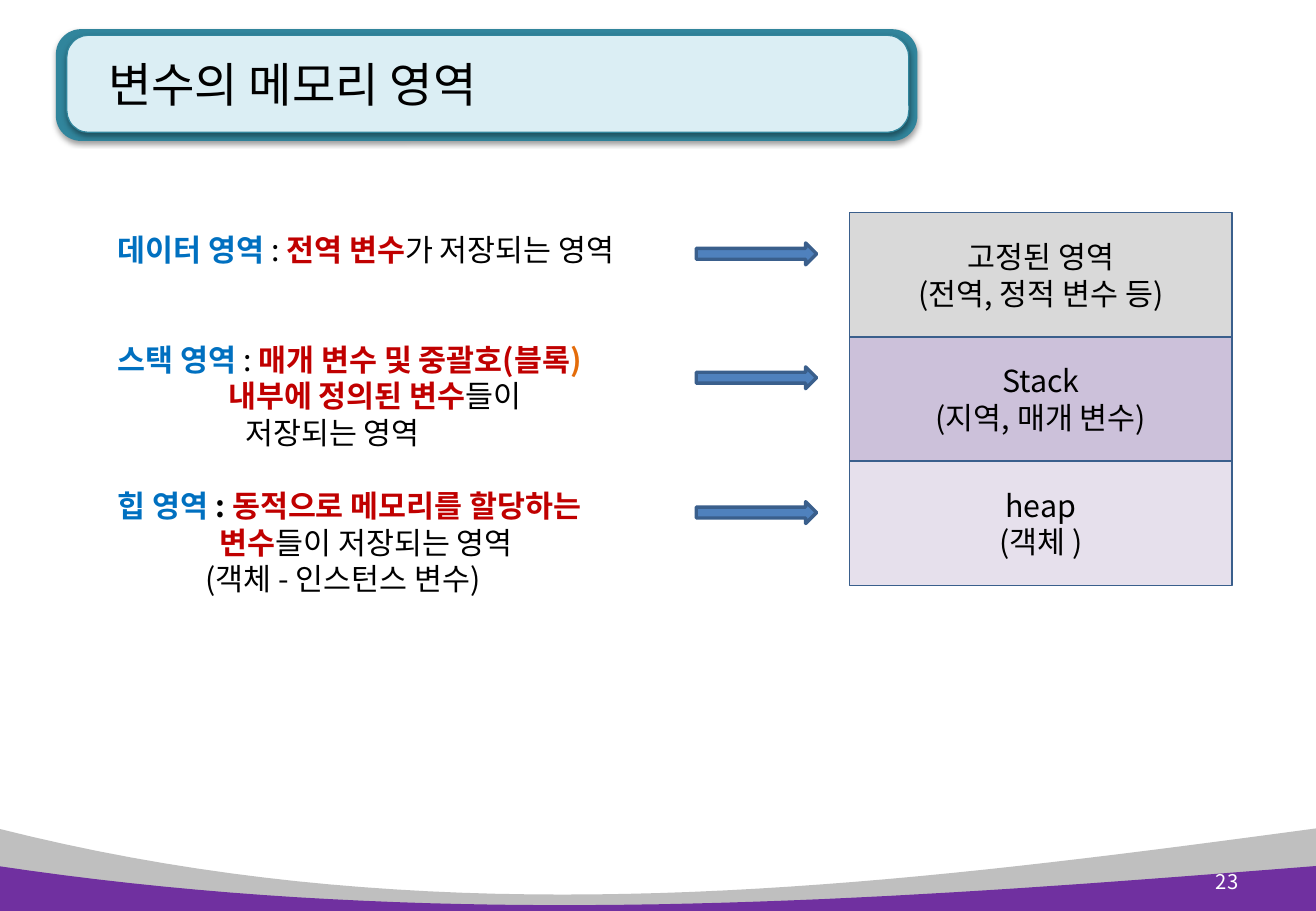
from lxml import etree
from pptx import Presentation
from pptx.dml.color import RGBColor
from pptx.enum.shapes import MSO_SHAPE
from pptx.enum.text import MSO_ANCHOR, PP_ALIGN
from pptx.oxml.ns import qn
from pptx.util import Inches, Pt

RECTANGLE = MSO_SHAPE.RECTANGLE
ROUNDED = MSO_SHAPE.ROUNDED_RECTANGLE
ARROW = MSO_SHAPE.RIGHT_ARROW
TOP, MIDDLE = MSO_ANCHOR.TOP, MSO_ANCHOR.MIDDLE
LEFT, CENTER, RIGHT = PP_ALIGN.LEFT, PP_ALIGN.CENTER, PP_ALIGN.RIGHT

FONT = "Noto Sans CJK KR"
LINE_PITCH = 21.7
COLORS = {
    "black": "000000", "white": "FFFFFF", "blue": "0070C0", "red": "C00000",
    "orange": "E46C0A", "gray": "BFBFBF", "purple": "7030A0",
    "teal": "31859C", "pale_teal": "DBEEF4", "arrow": "4F81BD",
    "outline": "3A5F8C", "fixed": "D9D9D9", "stack": "CCC1DA",
    "heap": "E6E0EC",
}

# Each line: indent in inches, blank lines before it, spans (text, color, bold)
AREA_LINES = [
    (0, 0, [("데이터 영역 ", "blue", True), (": ", "black", False),
            ("전역 변수", "red", True), ("가 저장되는 영역", "black", False)]),
    (0, 2, [("스택 영역 ", "blue", True), (": ", "black", False),
            ("매개 변수 및 중괄호(블록", "red", True), (")", "orange", True)]),
    (0.91, 0, [("내부에 정의된 변수", "red", True), ("들이", "black", False)]),
    (1.05, 0, [("저장되는 영역", "black", False)]),
    (0, 1, [("힙 영역 ", "blue", True), (": ", "black", True),
            ("동적으로 메모리를 할당하는", "red", True)]),
    (0.84, 0, [("변수", "red", True), ("들이 저장되는 영역", "black", False)]),
    (0.72, 0, [("(객체 - 인스턴스 변수)", "black", False)]),
]
MEMORY_BLOCKS = [
    ("fixed", ["고정된 영역", "(전역, 정적 변수 등)"]),
    ("stack", ["Stack", "(지역, 매개 변수)"]),
    ("heap", ["heap", "(객체 )"]),
]
ARROW_TOPS = [2, 3.02, 4.13]


def color(name):
    return RGBColor.from_string(COLORS[name])


def paint(shape, fill, line=None, width=1):
    shape.shadow.inherit = False
    shape.fill.solid()
    shape.fill.fore_color.rgb = color(fill)
    if line:
        shape.line.color.rgb = color(line)
        shape.line.width = Pt(width)
    else:
        shape.line.fill.background()


def add_block(page, kind, box, fill, line=None, width=1):
    shape = page.shapes.add_shape(kind, *map(Inches, box))
    paint(shape, fill, line, width)
    return shape


def add_text_box(page, box):
    return page.shapes.add_textbox(*map(Inches, box))


def add_shadow(shape):
    effects = shape._element.spPr.find(qn("a:effectLst"))
    shadow = etree.SubElement(effects, qn("a:outerShdw"), blurRad=str(Pt(3.1)),
                              dist=str(Pt(1.6)), dir="5400000", rotWithShape="0")
    tone = etree.SubElement(shadow, qn("a:srgbClr"), val=COLORS["black"])
    etree.SubElement(tone, qn("a:alpha"), val="38000")


def write_lines(shape, lines, size=18, align=LEFT, anchor=MIDDLE, pitch=None):
    frame = shape.text_frame
    frame.word_wrap = True
    frame.vertical_anchor = anchor
    for index, (indent, gap, spans) in enumerate(lines):
        para = frame.paragraphs[0] if index == 0 else frame.add_paragraph()
        para.alignment = align
        if pitch:
            para.line_spacing = Pt(pitch)
        if gap:
            para.space_before = Pt(gap * pitch)
        if indent:
            properties = para._p.get_or_add_pPr()
            properties.set("marL", str(Inches(indent)))
            properties.set("indent", "0")
        for text, tone, bold in spans:
            span = para.add_run()
            span.text = text
            style = {"name": FONT, "size": Pt(size), "bold": bold}
            for name, value in style.items():
                setattr(span.font, name, value)
            span.font.color.rgb = color(tone)
            etree.SubElement(span._r.get_or_add_rPr(), qn("a:ea"), typeface=FONT)


def add_wave(page, box, dips, fill):
    """Band whose top edge is a cubic curve with two control heights."""
    left, top, width, height = box
    anchors = [(left, top), (3.65, dips[0]), (7.2, dips[1]), (left + width, top)]
    edge = []
    for step in range(41):
        t = step / 40
        weights = [(1 - t) ** 3, 3 * t * (1 - t) ** 2, 3 * t * t * (1 - t), t ** 3]
        edge.append(tuple(Inches(sum(w * point[axis] for w, point in zip(weights, anchors)))
                          for axis in (0, 1)))
    bottom = Inches(top + height)
    builder = page.shapes.build_freeform(*edge[0], scale=1.0)
    builder.add_line_segments(
        edge[1:] + [(Inches(left + width), bottom), (Inches(left), bottom)])
    paint(builder.convert_to_shape(), fill)


def add_footer(page, box):
    left, top, width, height = box
    add_wave(page, (left, top, width, height), (7.75, 7.31), "gray")
    add_wave(page, (left, top + 0.31, width, 0.4), (7.68, 7.42), "purple")
    number = add_text_box(page, (left + 9.7, top + 0.24, 0.61, 0.4))
    write_lines(number, [(0, 0, [("23", "white", False)])], 12, RIGHT)


def add_title(page, box):
    left, top, width, height = box
    panels = [
        add_block(page, ROUNDED, box, "teal"),
        add_block(page, ROUNDED, (left + 0.09, top + 0.05, width - 0.16, height - 0.12),
                  "pale_teal", "teal", 0.75),
    ]
    for panel in panels:
        panel.adjustments[0] = 0.225
        add_shadow(panel)
    title = add_text_box(page, (left + 0.23, top - 0.02, width - 0.31, height + 0.02))
    title.text_frame.margin_left = Inches(0.2)
    write_lines(title, [(0, 0, [("변수의 메모리 영역", "black", False)])], 28)


def add_descriptions(page, box):
    write_lines(add_text_box(page, box), AREA_LINES, anchor=TOP, pitch=LINE_PITCH)


def add_arrows(page, left, width, height):
    for top in ARROW_TOPS:
        add_block(page, ARROW, (left, top, width, height), "arrow", "outline", 2)


def add_memory(page, box):
    left, top, width, height = box
    row = height / len(MEMORY_BLOCKS)
    for index, (fill, texts) in enumerate(MEMORY_BLOCKS):
        block = add_block(page, RECTANGLE, (left, top + index * row, width, row),
                          fill, "outline")
        lines = [(0, 0, [(text, "black", False)]) for text in texts]
        write_lines(block, lines, align=CENTER, pitch=LINE_PITCH)


def main():
    deck = Presentation()
    deck.slide_width, deck.slide_height = Inches(10.83), Inches(7.5)
    page = deck.slides.add_slide(deck.slide_layouts[6])
    add_footer(page, (-0.02, 6.82, 10.85, 0.68))
    add_title(page, (0.46, 0.24, 7.09, 0.92))
    add_descriptions(page, (0.87, 1.85, 5.02, 3.13))
    add_arrows(page, 5.73, 0.99, 0.18)
    add_memory(page, (6.99, 1.75, 3.15, 3.07))
    deck.save("out.pptx")


if __name__ == "__main__":
    main()
